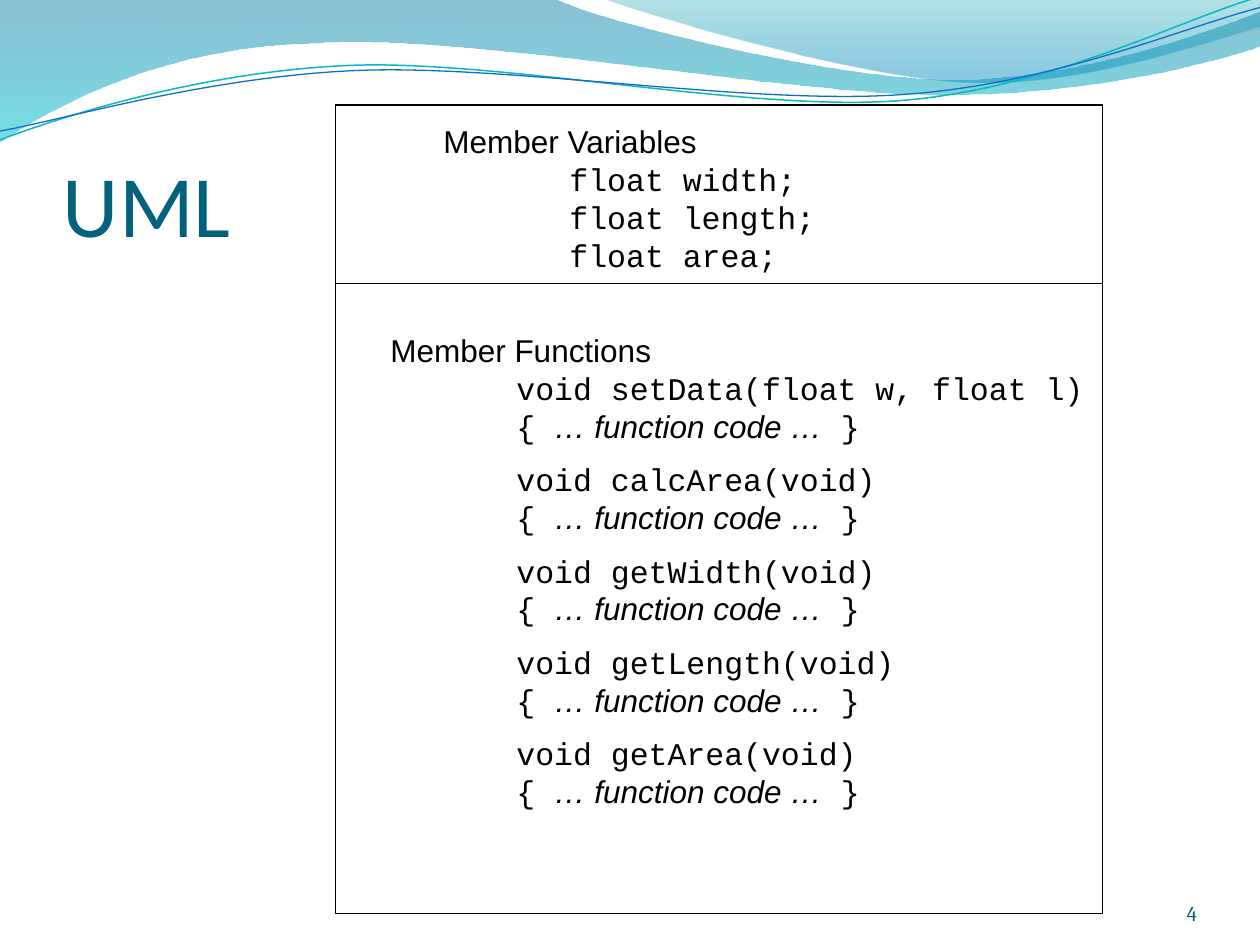
from dataclasses import dataclass
from lxml.etree import SubElement
from pptx import Presentation
from pptx.dml.color import RGBColor
from pptx.enum.shapes import MSO_CONNECTOR, MSO_SHAPE
from pptx.enum.text import MSO_ANCHOR as Anchor, MSO_AUTO_SIZE as AutoSize, PP_ALIGN as Align
from pptx.oxml.ns import qn
from pptx.util import Cm, Pt


@dataclass(frozen=True)
class Theme:
    """Colours, fonts and type sizes of the slide."""
    title: str = "04617B"
    number: str = "045D75"
    ink: str = "000000"
    teal_line: str = "0AB8BF"
    blue_line: str = "0F6FC6"
    # Each gradient stop: position, colour, opacity in percent
    band: tuple = ((0, "0074A1", 45), (1, "00C6CF", 55))
    crest: tuple = ((0, "00A1A9", 30), (0.8, "008BBF", 45))
    title_font: str = "Calibri"
    number_font: str = "Cambria"
    sans: str = "Arial"
    code: str = "Courier New"
    title_size: int = 50
    body_size: int = 18
    number_size: int = 12
    paragraph_gap: int = 9
    hairline: float = 0.75


THEME = Theme()
WAVE_UNIT = Cm(2.54)
CODE_INDENT = Cm(2.54)

# A pair is a straight step, six numbers are a cubic curve
BAND = [(0, 0), (4.4, -0.01), (4.76, 0.17, 6.64, 0.63, 7.58, 0.63),
        (8.53, 0.63, 9.58, 0.26, 10, 0.09), (10.01, 0.36),
        (9.83, 0.44, 8.7, 0.76, 7.46, 0.75), (6.22, 0.75, 3.82, 0.28, 2.57, 0.34),
        (1.29, 0.36, 0.46, 0.83, -0.01, 1.13)]
CREST = [(4.79, -0.01), (5.09, 0.11, 6.82, 0.62, 7.69, 0.65),
         (8.56, 0.69, 9.61, 0.32, 10, 0.21), (10, 0)]
TEAL_CURVE = [(0, 1.11), (0.48, 0.93, 1.58, 0.57, 2.77, 0.52),
              (3.95, 0.47, 5.93, 0.89, 7.13, 0.8), (8.33, 0.71, 9.38, 0.15, 9.98, -0.02)]
BLUE_CURVE = [(0, 1.04), (0.47, 0.96, 1.64, 0.61, 2.83, 0.56),
              (4.03, 0.51, 5.97, 0.84, 7.17, 0.75), (8.36, 0.67, 9.41, 0.21, 10, 0.06)]

VARIABLES = ["float width;", "float length;", "float area;"]
FUNCTIONS = ["setData(float w, float l)", "calcArea(void)", "getWidth(void)",
             "getLength(void)", "getArea(void)"]


def bend_segments(shape, steps):
    """Merge each three straight segments of a curved step into one cubic curve."""
    segments = iter(list(shape.element.spPr.iter(qn("a:lnTo"))))
    for step in steps[1:]:
        first = next(segments)
        if len(step) == 6:
            first.tag  # the first segment keeps its place in the outline
            curve = first.makeelement(qn("a:cubicBezTo"))
            first.addprevious(curve)
            for segment in (first, next(segments), next(segments)):
                curve.append(segment[0])
                segment.getparent().remove(segment)


def style_line(shape, color, width):
    """Set line colour and width."""
    shape.line.color.rgb = RGBColor.from_string(color)
    shape.line.width = Pt(width)


def add_wave(page, steps, gradient=None, color=None, width=None):
    """Add a filled wave, or an open curve when no gradient is given."""
    points = [(round(step[i] * WAVE_UNIT), round(step[i + 1] * WAVE_UNIT))
              for step in steps for i in range(0, len(step), 2)]
    builder = page.shapes.build_freeform(*points[0])
    builder.add_line_segments(points[1:], close=bool(gradient))
    wave = builder.convert_to_shape()
    bend_segments(wave, steps)
    wave.shadow.inherit = False
    if not gradient:
        wave.fill.background()
        style_line(wave, color, width)
        return
    wave.line.fill.background()
    wave.fill.gradient()
    wave.fill.gradient_angle = 270
    for stop, (position, shade, _) in zip(wave.fill.gradient_stops, gradient):
        stop.position = position
        stop.color.rgb = RGBColor.from_string(shade)
    for node, (_, _, opacity) in zip(wave.element.spPr.iter(qn("a:srgbClr")), gradient):
        SubElement(node, qn("a:alpha"), val=str(opacity * 1000))


def add_box(page, left, top, width, height, anchor=Anchor.TOP, margins=None, grow=False):
    """Add a wrapping text box and return its text frame."""
    box = page.shapes.add_textbox(Cm(left), Cm(top), Cm(width), Cm(height))
    frame = box.text_frame
    frame.word_wrap = True
    frame.auto_size = AutoSize.SHAPE_TO_FIT_TEXT if grow else AutoSize.NONE
    frame.vertical_anchor = anchor
    if margins:
        (frame.margin_left, frame.margin_top,
         frame.margin_right, frame.margin_bottom) = map(Cm, margins)
    return frame


def add_text(para, text, font=THEME.sans, size=THEME.body_size, color=THEME.ink, italic=False):
    """Add one formatted run to a paragraph."""
    span = para.add_run()
    span.text = text
    span.font.name = font
    span.font.size = Pt(size)
    span.font.color.rgb = RGBColor.from_string(color)
    span.font.italic = italic


def format_listing(para):
    """Set the gap above a member paragraph and the tab stop of its code."""
    para.space_before = Pt(THEME.paragraph_gap)
    properties = para.space_before and para._p.get_or_add_pPr()
    stops = SubElement(properties, qn("a:tabLst"))
    SubElement(stops, qn("a:tab"), pos=str(int(CODE_INDENT)), algn="l")


def add_variables(page):
    """List the member variables in the upper compartment."""
    para = add_box(page, 8.69, 2.34, 11.23, 3.3, grow=True).paragraphs[0]
    format_listing(para)
    add_text(para, "Member Variables")
    for variable in VARIABLES:
        para.add_line_break()
        add_text(para, "\t" + variable, font=THEME.code)


def add_functions(page):
    """List the member functions in the lower compartment."""
    frame = add_box(page, 7.62, 6.55, 15.24, 10.19, grow=True)
    for index, signature in enumerate(FUNCTIONS):
        para = frame.add_paragraph() if index else frame.paragraphs[0]
        format_listing(para)
        if index == 0:
            add_text(para, "Member Functions")
            para.add_line_break()
        add_text(para, "\tvoid " + signature, font=THEME.code)
        para.add_line_break()
        add_text(para, "\t{ ", font=THEME.code)
        add_text(para, "… function code …", italic=True)
        add_text(para, " }", font=THEME.code)


def add_class_frame(page):
    """Draw the outer frame of the class diagram."""
    frame = page.shapes.add_shape(MSO_SHAPE.RECTANGLE, Cm(6.77), Cm(2.12), Cm(15.45), Cm(16.3))
    frame.shadow.inherit = False
    frame.fill.background()
    style_line(frame, THEME.ink, THEME.hairline)


def add_divider(page):
    """Separate the two compartments."""
    divider = page.shapes.add_connector(MSO_CONNECTOR.STRAIGHT,
                                        Cm(6.77), Cm(5.72), Cm(22.22), Cm(5.72))
    style_line(divider, THEME.ink, THEME.hairline)
    SubElement(divider.element.spPr, qn("a:effectLst"))


def main():
    """Build and save the slide."""
    deck = Presentation()
    deck.slide_width, deck.slide_height = Cm(25.4), Cm(19.05)
    page = deck.slides.add_slide(deck.slide_layouts[6])

    add_wave(page, BAND, gradient=THEME.band)
    add_wave(page, CREST, gradient=THEME.crest)
    add_wave(page, TEAL_CURVE, color=THEME.teal_line, width=0.85)
    add_wave(page, BLUE_CURVE, color=THEME.blue_line, width=THEME.hairline)

    title = add_box(page, 1.27, 1.96, 22.86, 3.18, Anchor.BOTTOM, (0, 0.13, 0, 0))
    add_text(title.paragraphs[0], "UML", font=THEME.title_font,
             size=THEME.title_size, color=THEME.title)
    number = add_box(page, 22.02, 17.65, 2.11, 1.02, Anchor.BOTTOM, (0, 0, 0, 0))
    number.paragraphs[0].alignment = Align.RIGHT
    add_text(number.paragraphs[0], "4", font=THEME.number_font,
             size=THEME.number_size, color=THEME.number)

    add_class_frame(page)
    add_variables(page)
    add_functions(page)
    add_divider(page)
    deck.save("out.pptx")


main()
